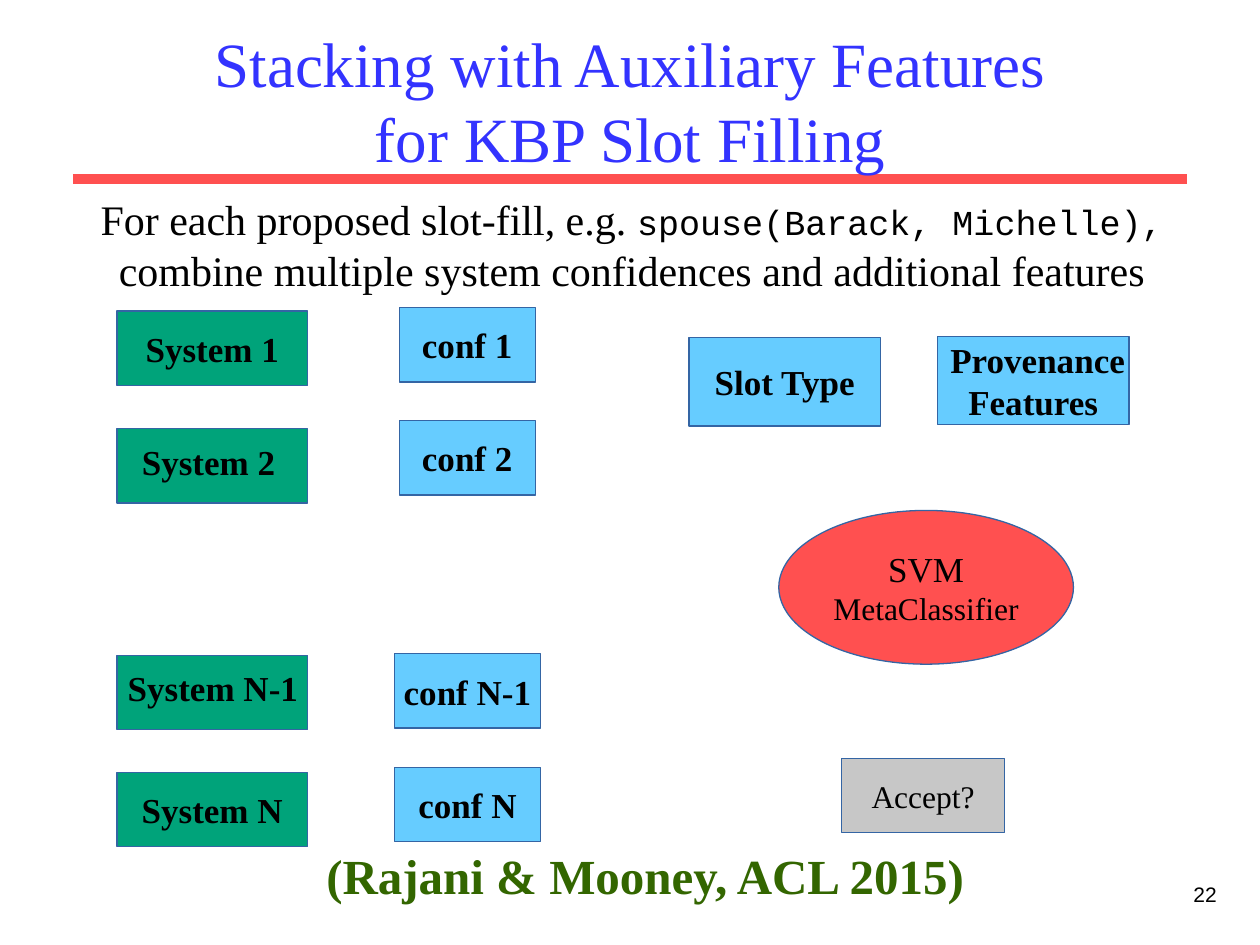
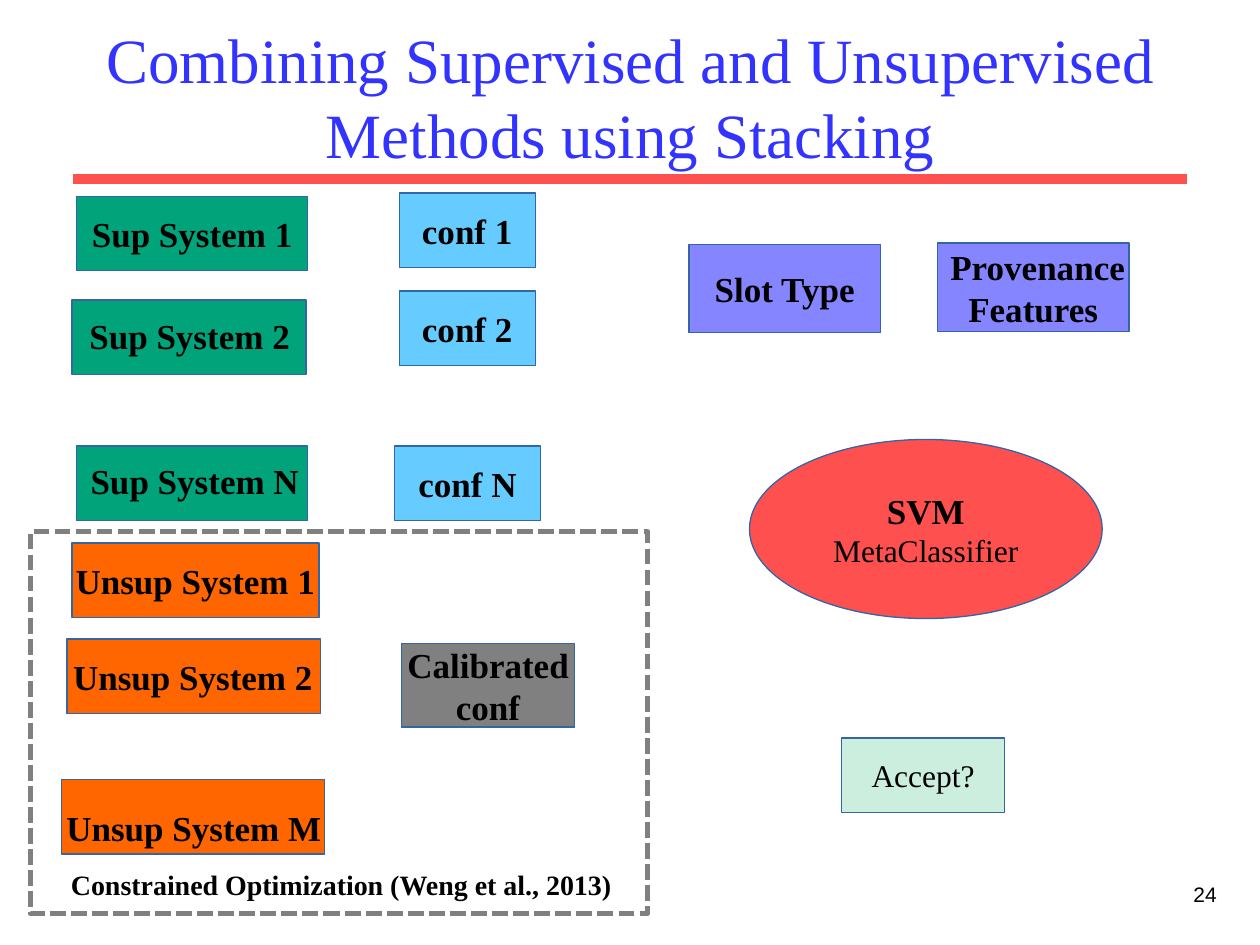
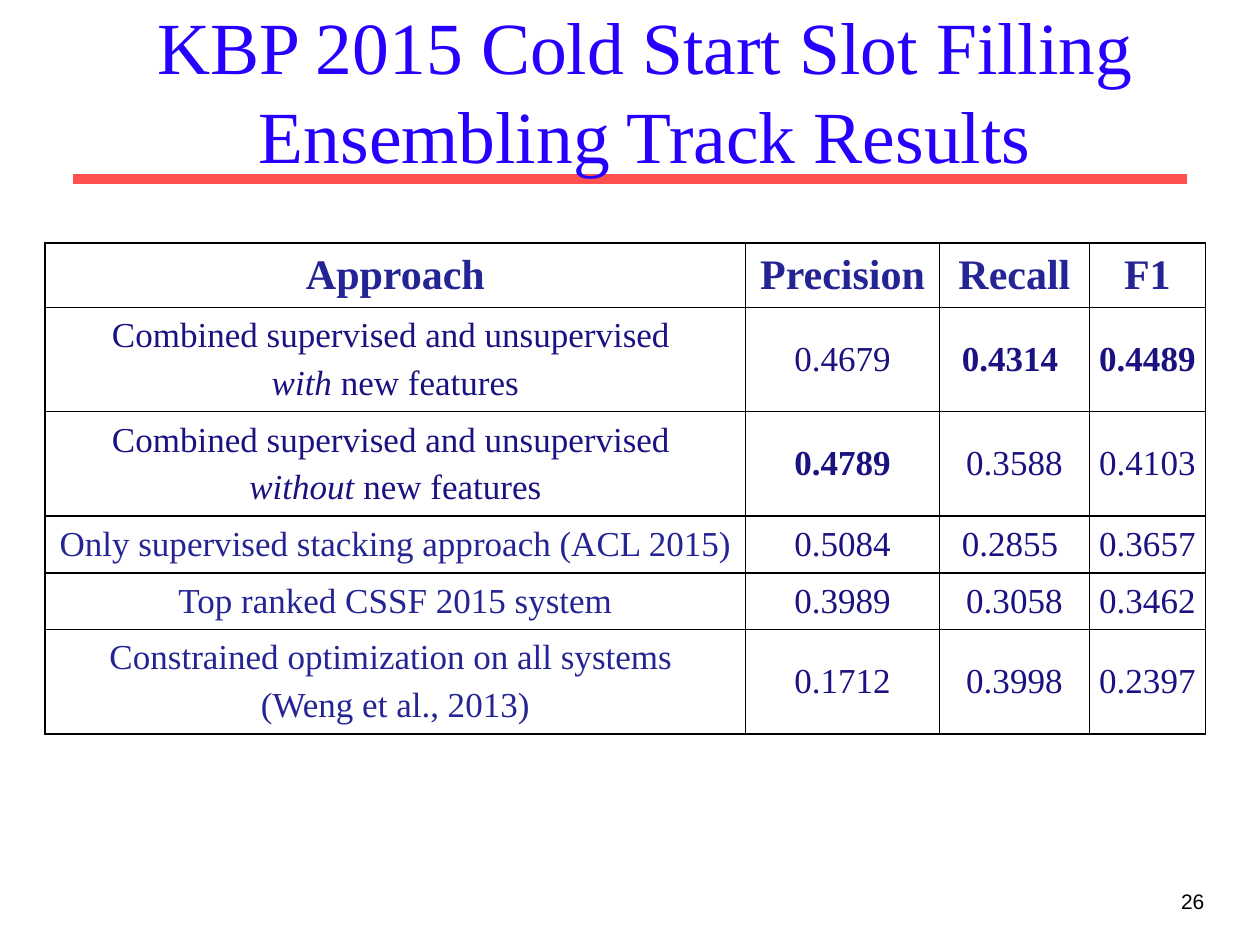
from lxml import etree
from pptx import Presentation
from pptx.dml.color import RGBColor
from pptx.enum.dml import MSO_LINE
from pptx.enum.shapes import MSO_CONNECTOR, MSO_SHAPE
from pptx.enum.text import MSO_ANCHOR as ANCHOR, MSO_AUTO_SIZE, PP_ALIGN as ALIGN
from pptx.oxml.ns import qn
from pptx.util import Cm, Pt

COLORS = {
    "title": "3333FF", "title_bright": "2600FF", "rule": "FF5050",
    "text": "000000", "cite": "336600", "outline": "3465A4",
    "system": "00A37A", "unsup": "FF6600", "conf": "66CCFF",
    "feature": "8585FF", "meta": "FF5050", "accept": "C7C7C7",
    "mint": "CCEEDF", "grey": "808080", "indigo": "252494", "navy": "1B1282",
}
SERIF, SANS, MONO = "Times New Roman", "Arial", "Courier New"
BOX_H, LABEL_H = 1.5, 0.86


def rgb(name):
    return RGBColor.from_string(COLORS[name])


def write(tf, paragraphs, size=20, color="text", font=SERIF, bold=False,
          align=ALIGN.CENTER, anchor=ANCHOR.MIDDLE, inset=(0, 0), wrap=True, before=0):
    """Fill a text frame; a paragraph is a string or a list of (text, changes)."""
    tf.auto_size = MSO_AUTO_SIZE.NONE
    tf.word_wrap = wrap
    tf.vertical_anchor = anchor
    tf.margin_left = tf.margin_right = Cm(inset[0])
    tf.margin_top = tf.margin_bottom = Cm(inset[1])
    write_paragraphs(tf, paragraphs, size, color, font, bold, align, before)


def write_paragraphs(tf, paragraphs, size, color, font=SERIF, bold=False,
                     align=ALIGN.CENTER, before=0):
    if isinstance(paragraphs, str):
        paragraphs = [paragraphs]
    for i, runs in enumerate(paragraphs):
        p = tf.add_paragraph() if i else tf.paragraphs[0]
        p.alignment = align
        p.space_before = Pt(before)
        for text, changes in [(runs, {})] if isinstance(runs, str) else runs:
            r = p.add_run()
            r.text = text
            r.font.size = Pt(changes.get("size", size))
            r.font.name = changes.get("font", font)
            r.font.bold = changes.get("bold", bold)
            r.font.italic = changes.get("italic", False)
            r.font.color.rgb = rgb(color)


class Deck:
    def __init__(self):
        self.prs = Presentation()
        self.prs.slide_width, self.prs.slide_height = Cm(25.4), Cm(19.05)
        self.s = None

    def slide(self, title, number, at=(1.91, 0.64, 21.59, 2.74), size=36,
              color="title", number_inset=(0, 0)):
        """Start a slide with its title, red rule and page number."""
        self.s = self.prs.slides.add_slide(self.prs.slide_layouts[5])
        sp = self.s.shapes.title
        sp.left, sp.top, sp.width, sp.height = map(Cm, at)
        write(sp.text_frame, title, size=size, color=color)
        rule = self.s.shapes.add_connector(
            MSO_CONNECTOR.STRAIGHT, Cm(1.47), Cm(3.61), Cm(23.93), Cm(3.61))
        rule.line.color.rgb = rgb("rule")
        rule.line.width = Pt(6)
        etree.SubElement(rule.element.spPr, qn("a:effectLst"))
        sp.element.addprevious(rule.element)  # the rule lies behind the title
        self.text(number, 19.25, 17.78, 5.28, 1.27, size=12, font=SANS,
                  align=ALIGN.RIGHT, inset=number_inset)

    def text(self, paragraphs, x, y, w, h, inset=(0.25, 0.13), **fmt):
        sp = self.s.shapes.add_textbox(Cm(x), Cm(y), Cm(w), Cm(h))
        write(sp.text_frame, paragraphs, inset=inset, anchor=ANCHOR.TOP, **fmt)

    def shape(self, x, y, w, h, fill=None, text=None, kind=MSO_SHAPE.RECTANGLE,
              line="outline", line_width=0.75, **fmt):
        sp = self.s.shapes.add_shape(kind, Cm(x), Cm(y), Cm(w), Cm(h))
        sp.shadow.inherit = False
        if fill:
            sp.fill.solid()
            sp.fill.fore_color.rgb = rgb(fill)
        else:
            sp.fill.background()
        if line:
            sp.line.color.rgb = rgb(line)
            sp.line.width = Pt(line_width)
        else:
            sp.line.fill.background()
        if text:
            write(sp.text_frame, text, **fmt)
        return sp

    def box(self, text, x, y, w, h=BOX_H, fill="conf"):
        self.shape(x, y, w, h, fill, text, bold=True)

    def labelled(self, box, label, text, fill="system", anchor=ANCHOR.MIDDLE):
        """A box (x, y, w) with its name on a separate plate (x, y, w, h)."""
        self.shape(*box, BOX_H, fill)
        self.shape(*label, fill, text, line=None, bold=True, wrap=False, anchor=anchor)

    def features(self, y, fill):
        self.box("Slot Type", 13.89, y, 3.86, 1.78, fill)
        self.box(" Provenance Features", 18.9, y - 0.03, 3.86, 1.78, fill)

    def classifier(self, x, y, w, h, bold):
        self.shape(x, y, w, h, "meta", kind=MSO_SHAPE.OVAL,
                   text=[[("SVM", {"bold": bold})], [("MetaClassifier", {"size": 18})]])

    def accept(self, y, fill):
        self.shape(16.97, y, 3.28, BOX_H, fill, "Accept?", size=18)

    def table(self, rows, x, y, widths, heights):
        table = self.s.shapes.add_table(
            len(rows), len(widths), Cm(x), Cm(y), Cm(sum(widths)), Cm(sum(heights))).table
        table.first_row = table.horz_banding = False
        for col, width in zip(table.columns, widths):
            col.width = Cm(width)
        for row, height in zip(table.rows, heights):
            row.height = Cm(height)
        for i, values in enumerate(rows):
            for j, value in enumerate(values):
                indigo = i == 0 or (j == 0 and i > 2)
                self.cell(table.cell(i, j), value, size=20 if i else 24, bold=i == 0,
                          color="indigo" if indigo else "navy")

    def cell(self, cell, value, **fmt):
        cell.fill.background()
        cell.vertical_anchor = ANCHOR.MIDDLE
        cell.margin_left = cell.margin_right = Cm(0.18)
        cell.margin_top = cell.margin_bottom = Cm(0.18)
        write_paragraphs(cell.text_frame, value, before=5, **fmt)
        tc_pr = cell._tc.get_or_add_tcPr()
        for i, side in enumerate(("a:lnL", "a:lnR", "a:lnT", "a:lnB")):
            ln = etree.Element(qn(side), w=str(Pt(1)))
            solid = etree.SubElement(ln, qn("a:solidFill"))
            etree.SubElement(solid, qn("a:srgbClr"), val=COLORS["text"])
            tc_pr.insert(i, ln)


def slot_filling(deck):
    deck.slide(["Stacking with Auxiliary Features", "for KBP Slot Filling"], "22")
    # Systems
    deck.box("System 1", 2.36, 6.27, 3.84, fill="system")
    deck.labelled((2.36, 8.64, 3.84), (2.72, 8.89, 2.97, 1.04), "System 2", anchor=ANCHOR.TOP)
    deck.labelled((2.36, 13.21, 3.84), (2.39, 13.44, 3.63, LABEL_H), " System N-1",
                  anchor=ANCHOR.TOP)
    deck.labelled((2.36, 15.57, 3.84), (2.72, 15.8, 3.12, 1.04), "System N")
    # Classifier and its inputs
    deck.classifier(15.7, 10.29, 5.94, 3.1, bold=False)
    deck.accept(15.29, "accept")
    deck.features(6.81, "conf")
    for name, x, y, w in (("1", 8.05, 6.2, 2.74), ("2", 8.05, 8.48, 2.74),
                          ("N-1", 7.95, 13.18, 2.95), ("N", 7.95, 15.47, 2.95)):
        deck.box(f"conf {name}", x, y, w)
    # Introduction and citation
    deck.text([[("For each proposed slot-fill, e.g. ", {}),
                ("spouse(Barack, Michelle),", {"size": 20, "font": MONO})],
               "combine multiple system confidences and additional features"],
              1.22, 3.78, 23.04, 2.31, size=24)
    deck.text("(Rajani & Mooney, ACL 2015)", 6.25, 16.92, 13.51, 1.45,
              size=28, color="cite", bold=True, wrap=False)


def combined_methods(deck):
    deck.slide("Combining Supervised and Unsupervised Methods using Stacking", "24",
               at=(1.91, 0.56, 21.59, 2.74))
    # Supervised systems
    deck.box("Sup System 1", 1.55, 3.96, 4.65, fill="system")
    deck.labelled((1.45, 6.05, 4.72), (1.78, 6.35, 4.09, LABEL_H), "Sup System 2",
                  anchor=ANCHOR.TOP)
    deck.labelled((1.55, 8.99, 4.65), (1.63, 9.27, 4.42, LABEL_H), " Sup System N",
                  anchor=ANCHOR.TOP)
    for name, x, y, w in (("1", 8.05, 3.89, 2.74), ("2", 8.05, 5.87, 2.74),
                          ("N", 7.95, 8.99, 2.95)):
        deck.box(f"conf {name}", x, y, w)
    # Classifier and its inputs
    deck.classifier(15.11, 8.86, 7.11, 3.61, bold=True)
    deck.accept(14.88, "mint")
    deck.features(4.93, "feature")
    # Unsupervised systems
    for name, box, label in (
            ("1", (1.45, 10.95, 4.98), (1.5, 11.28, 4.88, LABEL_H)),
            ("2", (1.35, 12.88, 5.11), (1.45, 13.21, 4.88, LABEL_H)),
            ("M", (1.24, 15.72, 5.31), (1.32, 16.26, 5.18, LABEL_H))):
        deck.labelled(box, label, f"Unsup System {name}", fill="unsup")
    deck.box("Calibrated conf", 8.1, 12.98, 3.48, 1.68, "grey")
    frame = deck.shape(0.61, 10.72, 12.45, 7.7, line="grey", line_width=3)
    frame.line.dash_style = MSO_LINE.SQUARE_DOT
    deck.text("Constrained Optimization (Weng et al., 2013)", 0.86, 17.35, 12.04, 0.94,
              size=16, bold=True)


def track_results(deck):
    deck.slide(["KBP 2015 Cold Start Slot Filling", "Ensembling Track Results"], "26",
               at=(1.85, 0.33, 22.3, 2.95), size=42, color="title_bright",
               number_inset=(0.25, 0.13))

    def best(value):
        return [[(value, {"bold": True})]]

    combined = "Combined supervised and unsupervised "
    italic = {"italic": True}
    deck.table([
        ["Approach", "Precision", "Recall", "F1"],
        [[combined, [("with", italic), (" new features", {})]],
         "0.4679", best("0.4314 "), best("0.4489")],
        [[combined, [("without ", italic), ("new features", {})]],
         best("0.4789"), "0.3588", "0.4103"],
        ["Only supervised stacking approach (ACL 2015)", "0.5084", "0.2855 ", "0.3657"],
        ["Top ranked CSSF 2015 system", "0.3989", "0.3058", "0.3462"],
        [["Constrained optimization on all systems ", "(Weng et al., 2013)"],
         "0.1712", "0.3998", "0.2397"],
    ], 0.91, 4.9, widths=(14.12, 3.91, 3.02, 2.34),
        heights=(1.27, 1.88, 1.88, 1.12, 1.12, 1.88))


def main():
    deck = Deck()
    slot_filling(deck)
    combined_methods(deck)
    track_results(deck)
    deck.prs.save("out.pptx")


if __name__ == "__main__":
    main()
